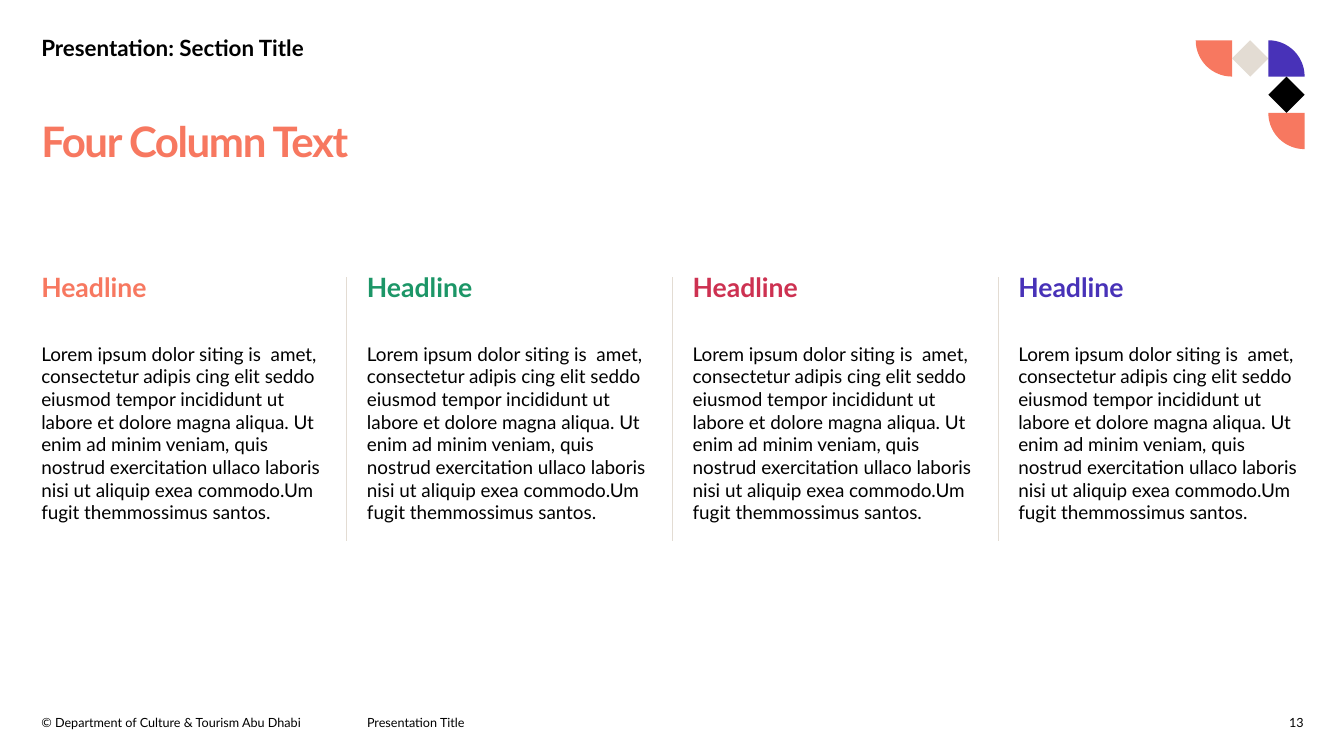
import math

import pptx
import pptx.dml.color
import pptx.enum.shapes
import pptx.enum.text
import pptx.oxml.ns
import pptx.util
from lxml import etree

Inches = pptx.util.Inches
Pt = pptx.util.Pt
RGBColor = pptx.dml.color.RGBColor
Anchor = pptx.enum.text.MSO_ANCHOR
Align = pptx.enum.text.PP_ALIGN

BLACK = RGBColor(0x00, 0x00, 0x00)
CORAL = RGBColor(0xF7, 0x78, 0x60)
GREEN = RGBColor(0x1C, 0x96, 0x67)
CRIMSON = RGBColor(0xCD, 0x31, 0x51)
VIOLET = RGBColor(0x48, 0x32, 0xB8)
SAND = RGBColor(0xE3, 0xDC, 0xD3)

FONT = "Lato"
LEFT = 0.41
COLUMN_STEP = 3.23
COLUMN_WIDTH = 2.83
BODY = (
    "Lorem ipsum dolor siting is  amet, consectetur adipis cing elit seddo "
    "eiusmod tempor incididunt ut labore et dolore magna aliqua. Ut enim ad "
    "minim veniam, quis nostrud exercitation ullaco laboris nisi ut aliquip "
    "exea commodo.Um fugit themmossimus santos."
)


def style(p, size, color=BLACK, bold=False):
    p.font.name = FONT
    p.font.size = Pt(size)
    p.font.bold = bold
    p.font.color.rgb = color


def add_text(s, box, text, size, color=BLACK, bold=False, anchor=Anchor.TOP):
    """Add a one-paragraph text box without margins and return its frame."""
    tf = s.shapes.add_textbox(*map(Inches, box)).text_frame
    tf.word_wrap = True
    tf.vertical_anchor = anchor
    tf.margin_left = tf.margin_right = tf.margin_top = tf.margin_bottom = 0
    p = tf.paragraphs[0]
    p.text = text
    style(p, size, color, bold)
    return tf


def paint(sp, color):
    sp.shadow.inherit = False
    sp.fill.solid()
    sp.fill.fore_color.rgb = color
    sp.line.fill.background()


def add_diamond(s, x, y, size, color):
    sp = s.shapes.add_shape(pptx.enum.shapes.MSO_SHAPE.DIAMOND,
                            *map(Inches, (x, y, size, size)))
    paint(sp, color)


def add_quarter(s, apex_x, apex_y, radius, start, color):
    """Add a quarter disc that sweeps 90 degrees clockwise from start."""
    angles = [math.radians(start + 3 * i) for i in range(31)]
    arc = [(Inches(apex_x + radius * math.cos(a)),
            Inches(apex_y + radius * math.sin(a))) for a in angles]
    builder = s.shapes.build_freeform(Inches(apex_x), Inches(apex_y))
    builder.add_line_segments(arc, close=True)
    paint(builder.convert_to_shape(), color)


def add_ornament(s, x, y, cell):
    """Three cells across the top, then two down the right side."""
    right = x + 2 * cell
    add_quarter(s, x + cell, y, cell, 90, CORAL)
    add_diamond(s, x + cell, y, cell, SAND)
    add_quarter(s, right, y + cell, cell, 270, VIOLET)
    add_diamond(s, right, y + cell, cell, BLACK)
    add_quarter(s, right + cell, y + 2 * cell, cell, 90, CORAL)


def add_header(s, x, y, width):
    add_text(s, (x, y, width, 0.53), "Presentation: Section Title", 16,
             bold=True, anchor=Anchor.BOTTOM)
    tf = add_text(s, (x, y + 1.12, width, 0.93), "Four Column Text", 30,
                  CORAL, bold=True)
    p = tf.paragraphs[0]
    p.line_spacing = 0.9
    # Tighten the letters by one point
    p.runs[0].font._element.set("spc", "-100")


def add_column(s, x, y, color):
    tf = add_text(s, (x, y, COLUMN_WIDTH, 3.7), "Headline", 19, color, bold=True)
    tf.paragraphs[0].space_after = Pt(12)
    p = tf.add_paragraph()
    p.text = BODY
    p.space_before = Pt(16)
    style(p, 13.5)


def add_divider(s, x, y, height):
    line = s.shapes.add_connector(pptx.enum.shapes.MSO_CONNECTOR.STRAIGHT,
                                  *map(Inches, (x, y, x, y + height)))
    line.line.color.rgb = SAND
    line.line.width = Pt(0.5)
    etree.SubElement(line._element.spPr, pptx.oxml.ns.qn("a:effectLst"))


def add_columns(s, x, y):
    for i, color in enumerate((CORAL, GREEN, CRIMSON, VIOLET)):
        left = x + i * COLUMN_STEP
        add_column(s, left, y, color)
        if i:
            # Divider in the middle of the gap before this column
            gap = COLUMN_STEP - COLUMN_WIDTH
            add_divider(s, left - gap / 2, y + 0.06, 2.62)


def add_footer(s, x, y):
    height = 0.19
    add_text(s, (x, y, 3.12, height),
             "© Department of Culture & Tourism Abu Dhabi", 9,
             anchor=Anchor.BOTTOM)
    add_text(s, (x + COLUMN_STEP, y, 2.65, height), "Presentation Title", 9,
             anchor=Anchor.BOTTOM)
    tf = add_text(s, (12.56, y, 0.37, height), "13", 9, anchor=Anchor.BOTTOM)
    tf.paragraphs[0].alignment = Align.RIGHT


def main():
    prs = pptx.Presentation()
    prs.slide_width = Inches(13.33)
    prs.slide_height = Inches(7.5)
    s = prs.slides.add_slide(prs.slide_layouts[6])
    add_ornament(s, 11.86, 0.4, 0.36)
    add_header(s, LEFT, 0.08, 10.76)
    add_columns(s, LEFT, 2.69)
    add_footer(s, LEFT, 7.05)
    prs.save("out.pptx")


if __name__ == "__main__":
    main()
